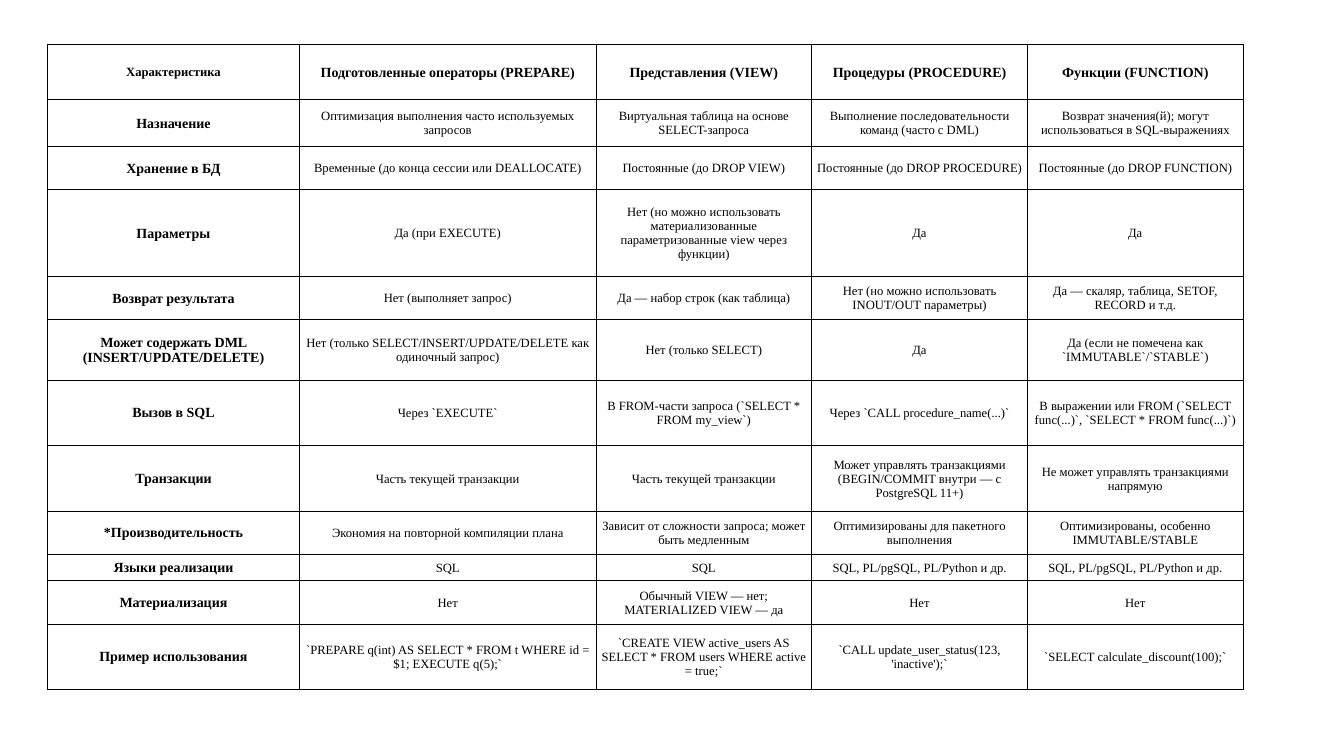
from lxml.etree import SubElement
from pptx import Presentation
from pptx.dml.color import RGBColor
from pptx.enum.text import MSO_ANCHOR as Anchor, PP_ALIGN as Align
from pptx.oxml.ns import qn
from pptx.util import Inches, Pt

BLACK = "000000"
BORDER_WIDTH = Pt(0.5)
COLUMN_WIDTHS = [2.5, 2.94, 2.14, 2.14, 2.14]
ROW_HEIGHTS = [0.55, 0.46, 0.43, 0.86, 0.43, 0.6, 0.65, 0.65, 0.43, 0.26, 0.43, 0.65]
CELL_FORMAT = {
    "margin_left": Inches(0.01),
    "margin_right": Inches(0.01),
    "margin_top": Inches(0.01),
    "margin_bottom": Inches(0),
    "vertical_anchor": Anchor.MIDDLE,
}
HEADING_FONT = {"name": "Times New Roman", "size": Pt(10), "bold": True}
BODY_FONT = {"name": "Times New Roman", "size": Pt(9), "bold": False}
CORNER_FONT = {"name": "Times New Roman", "size": Pt(9), "bold": True}

ROWS = [
    ["Характеристика", "Подготовленные операторы (PREPARE)", "Представления (VIEW)",
     "Процедуры (PROCEDURE)", "Функции (FUNCTION)"],
    ["Назначение", "Оптимизация выполнения часто используемых запросов",
     "Виртуальная таблица на основе SELECT-запроса",
     "Выполнение последовательности команд (часто с DML)",
     "Возврат значения(й); могут использоваться в SQL-выражениях"],
    ["Хранение в БД", "Временные (до конца сессии или DEALLOCATE)",
     "Постоянные (до DROP VIEW)", "Постоянные (до DROP PROCEDURE)",
     "Постоянные (до DROP FUNCTION)"],
    ["Параметры", "Да (при EXECUTE)",
     "Нет (но можно использовать материализованные параметризованные view через функции)",
     "Да", "Да"],
    ["Возврат результата", "Нет (выполняет запрос)", "Да — набор строк (как таблица)",
     "Нет (но можно использовать INOUT/OUT параметры)",
     "Да — скаляр, таблица, SETOF, RECORD и т.д."],
    ["Может содержать DML (INSERT/UPDATE/DELETE)",
     "Нет (только SELECT/INSERT/UPDATE/DELETE как одиночный запрос)",
     "Нет (только SELECT)", "Да", "Да (если не помечена как `IMMUTABLE`/`STABLE`)"],
    ["Вызов в SQL", "Через `EXECUTE`", "В FROM-части запроса (`SELECT * FROM my_view`)",
     "Через `CALL procedure_name(...)`",
     "В выражении или FROM (`SELECT func(...)`, `SELECT * FROM func(...)`)"],
    ["Транзакции", "Часть текущей транзакции", "Часть текущей транзакции",
     "Может управлять транзакциями (BEGIN/COMMIT внутри — с PostgreSQL 11+)",
     "Не может управлять транзакциями напрямую"],
    ["*Производительность", "Экономия на повторной компиляции плана",
     "Зависит от сложности запроса; может быть медленным",
     "Оптимизированы для пакетного выполнения",
     "Оптимизированы, особенно IMMUTABLE/STABLE"],
    ["Языки реализации", "SQL", "SQL", "SQL, PL/pgSQL, PL/Python и др.",
     "SQL, PL/pgSQL, PL/Python и др."],
    ["Материализация", "Нет", "Обычный VIEW — нет; MATERIALIZED VIEW — да", "Нет", "Нет"],
    ["Пример использования",
     "`PREPARE q(int) AS SELECT * FROM t WHERE id = $1; EXECUTE q(5);`",
     "`CREATE VIEW active_users AS SELECT * FROM users WHERE active = true;`",
     "`CALL update_user_status(123, 'inactive');`",
     "`SELECT calculate_discount(100);`"],
]


def color(value):
    return RGBColor.from_string(value)


def add_borders(cell, value):
    properties = cell._tc.get_or_add_tcPr()
    for side in ("a:lnL", "a:lnR", "a:lnT", "a:lnB"):
        line = SubElement(properties, qn(side), w=str(BORDER_WIDTH))
        fill = SubElement(line, qn("a:solidFill"))
        SubElement(fill, qn("a:srgbClr"), val=value)


presentation = Presentation()
presentation.slide_width = Inches(13.33)
presentation.slide_height = Inches(7.5)
slide = presentation.slides.add_slide(presentation.slide_layouts[6])

table = slide.shapes.add_table(
    len(ROWS), len(COLUMN_WIDTHS), Inches(0.47), Inches(0.44),
    Inches(sum(COLUMN_WIDTHS)), Inches(sum(ROW_HEIGHTS)),
).table
table.first_row = False
table.horz_banding = False
for column, width in zip(table.columns, COLUMN_WIDTHS):
    column.width = Inches(width)
for row, height in zip(table.rows, ROW_HEIGHTS):
    row.height = Inches(height)

for row_index, texts in enumerate(ROWS):
    for column_index, text in enumerate(texts):
        cell = table.cell(row_index, column_index)
        for name, value in CELL_FORMAT.items():
            setattr(cell, name, value)
        add_borders(cell, BLACK)
        cell.fill.background()

        if row_index == column_index == 0:
            font_format = CORNER_FONT
        elif row_index == 0 or column_index == 0:
            font_format = HEADING_FONT
        else:
            font_format = BODY_FONT
        paragraph = cell.text_frame.paragraphs[0]
        paragraph.alignment = Align.CENTER
        run = paragraph.add_run()
        run.text = text
        for name, value in font_format.items():
            setattr(run.font, name, value)
        run.font.color.rgb = color(BLACK)

presentation.save("out.pptx")
